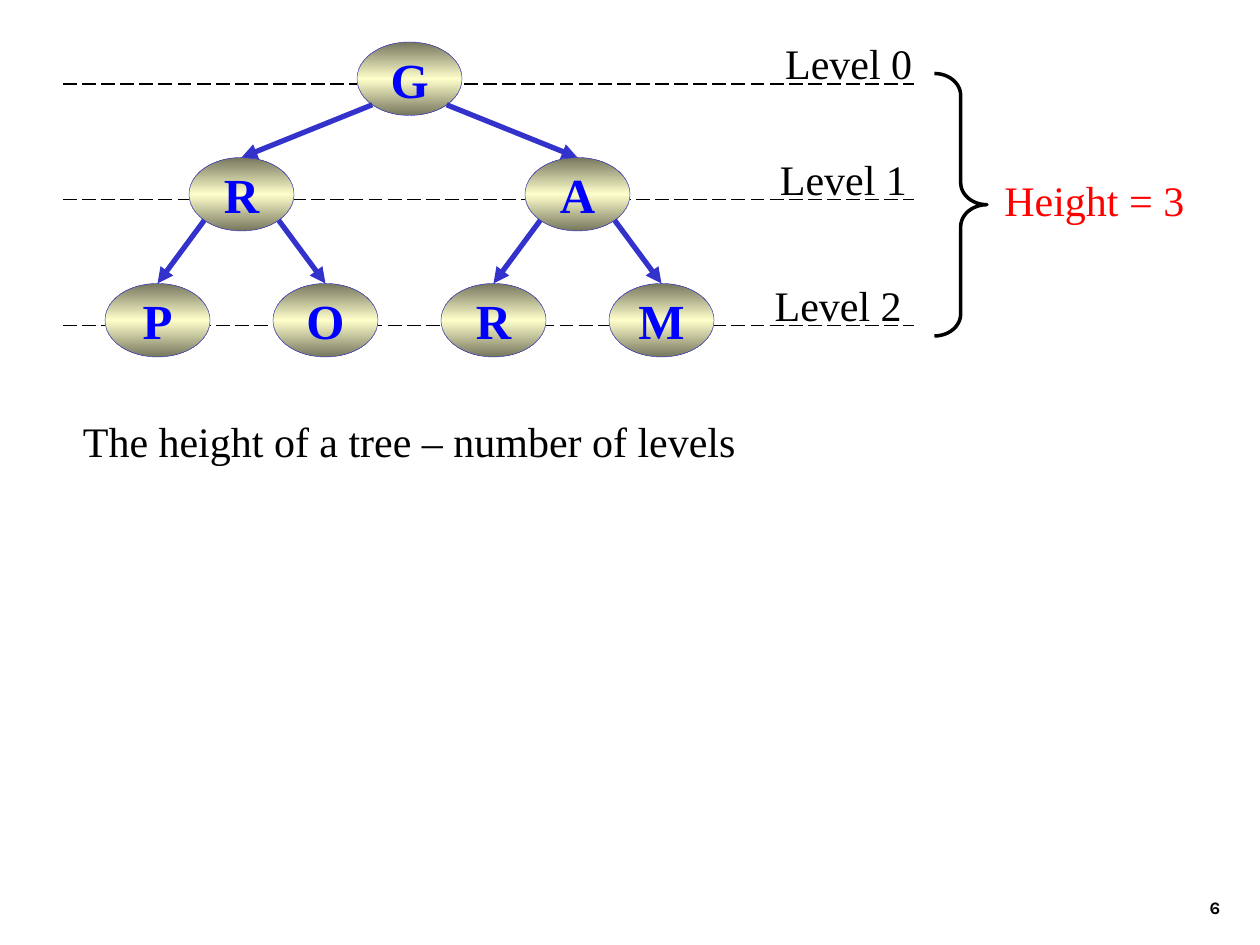
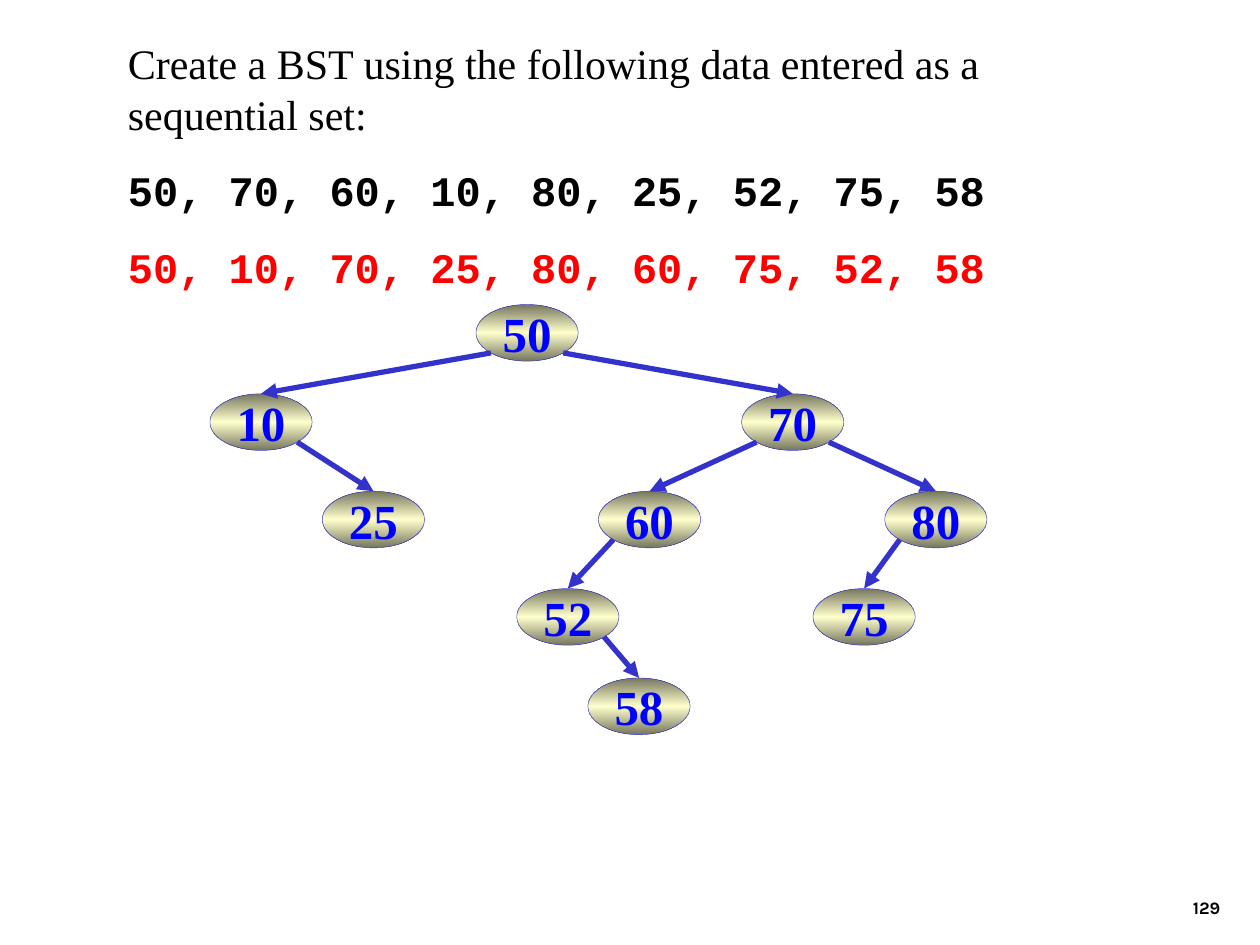
import copy

import pptx
import pptx.dml.color
import pptx.enum.dml
import pptx.enum.shapes
import pptx.enum.text
import pptx.oxml
import pptx.oxml.ns
import pptx.util

Pt = pptx.util.Pt
ALIGN = pptx.enum.text.PP_ALIGN
ANCHOR = pptx.enum.text.MSO_ANCHOR
SHAPE = pptx.enum.shapes.MSO_SHAPE

# Shared style
BLACK, RED, BLUE = "000000", "FF0000", "0000FF"
EDGE, NODE_DARK, NODE_LIGHT = "3333CC", "76765E", "FFFFCC"
SERIF, MONO, FOOTER_FONT = "Times New Roman", "Courier New", "Karla"
LINE_HEIGHT = 1.2
DIAGONAL = 0.354  # half the sine of 45 degrees: where an edge leaves an ellipse


def color(hex_string):
    return pptx.dml.color.RGBColor.from_string(hex_string)


# Text
def style_paragraph(paragraph, text, size, font, hex_color, bold=False, align=ALIGN.LEFT):
    paragraph.text = text
    paragraph.alignment = align
    paragraph.line_spacing = Pt(size * LINE_HEIGHT)
    for run in paragraph.runs:
        run.font.size = Pt(size)
        run.font.name = font
        run.font.bold = bold
        run.font.color.rgb = color(hex_color)


def add_text(slide, left, top, width, height, lines, align=ALIGN.LEFT, wrap=False,
             anchor=ANCHOR.TOP, space_before=0):
    """Each line is (text, size, font, color, bold)."""
    box = slide.shapes.add_textbox(Pt(left), Pt(top), Pt(width), Pt(height))
    frame = box.text_frame
    frame.word_wrap = wrap
    frame.vertical_anchor = anchor
    for index, line in enumerate(lines):
        paragraph = frame.add_paragraph() if index else frame.paragraphs[0]
        style_paragraph(paragraph, *line, align=align)
        if index:
            paragraph.space_before = Pt(space_before)


def add_label(slide, left, top, width, text, hex_color=BLACK, align=ALIGN.RIGHT):
    add_text(slide, left, top, width, 36, [(text, 24, SERIF, hex_color, False)], align)


def add_slide_number(slide, number):
    add_text(slide, 554.4, 492, 150, 36, [(number, 10, FOOTER_FONT, BLACK, True)],
             ALIGN.RIGHT, wrap=True, anchor=ANCHOR.BOTTOM)


# Lines
def add_line(slide, start, end, hex_color, width):
    line = slide.shapes.add_connector(
        pptx.enum.shapes.MSO_CONNECTOR.STRAIGHT, *[Pt(value) for value in (*start, *end)])
    line.line.color.rgb = color(hex_color)
    line.line.width = Pt(width)
    pptx.oxml.ns.qn("a:effectLst")
    line._element.spPr.append(pptx.oxml.parse_xml(
        f"<a:effectLst {pptx.oxml.ns.nsdecls('a')}/>"))
    return line


def add_level_line(slide, y):
    line = add_line(slide, (36, y), (522, y), BLACK, 1)
    line.line.dash_style = pptx.enum.dml.MSO_LINE.LONG_DASH


def add_edge(slide, parent, child, node_size):
    """Arrow from the lower side of the parent to the top of the child."""
    width, height = node_size
    side = 1 if child[0] > parent[0] else -1
    start = (parent[0] + width * (0.5 + side * DIAGONAL), parent[1] + height * (0.5 + DIAGONAL))
    edge = add_line(slide, start, (child[0] + width / 2, child[1]), EDGE, 3)
    edge.line._get_or_add_ln().append(pptx.oxml.parse_xml(
        f"<a:tailEnd {pptx.oxml.ns.nsdecls('a')} type='triangle'/>"))


# Shapes
def fill_node(shape):
    fill = shape.fill
    fill.gradient()
    fill.gradient_angle = 90
    stop_list = shape._element.spPr.find(".//" + pptx.oxml.ns.qn("a:gsLst"))
    stop_list.append(copy.deepcopy(stop_list[-1]))
    stops = zip(fill.gradient_stops, (0, 0.5, 1), (NODE_DARK, NODE_LIGHT, NODE_DARK))
    for stop, position, hex_color in stops:
        stop.position = position
        stop.color.rgb = color(hex_color)


def add_node(slide, left, top, node_size, text):
    node = slide.shapes.add_shape(SHAPE.OVAL, Pt(left), Pt(top), *[Pt(side) for side in node_size])
    node.shadow.inherit = False
    fill_node(node)
    node.line.color.rgb = color(EDGE)
    node.line.width = Pt(0.25)
    node.text_frame.word_wrap = False
    node.text_frame.vertical_anchor = ANCHOR.MIDDLE
    style_paragraph(node.text_frame.paragraphs[0], text, 28, SERIF, BLUE, True, ALIGN.CENTER)


def add_tree(slide, nodes, edges, node_size):
    """Nodes are (text, left, top); edges are pairs of node indexes."""
    for text, left, top in nodes:
        add_node(slide, left, top, node_size, text)
    for parent, child in edges:
        add_edge(slide, nodes[parent][1:], nodes[child][1:], node_size)


def add_brace(slide, left, top, width, height):
    brace = slide.shapes.add_shape(SHAPE.RIGHT_BRACE, Pt(left), Pt(top), Pt(width), Pt(height))
    brace.shadow.inherit = False
    brace.adjustments[0] = 0.42
    brace.fill.background()
    brace.line.color.rgb = color(BLACK)
    brace.line.width = Pt(2)


# Slides
def build_height_slide(slide):
    add_slide_number(slide, "6")
    level_tops = (24, 90, 162)
    for top in level_tops:
        add_level_line(slide, top + 24)
    for level, top in enumerate(level_tops):
        add_label(slide, 441 - 3 * level, top - 6, 87.4, f"Level {level}")
    add_label(slide, 40.3, 234, 393, "The height of a tree – number of levels", align=ALIGN.LEFT)

    # Complete tree, listed level by level
    lefts = ((204,), (108, 300), (60, 156, 252, 348))
    places = [(left, top) for row, top in zip(lefts, level_tops) for left in row]
    nodes = [(letter, *place) for letter, place in zip("GRAPORM", places)]
    edges = [((child - 1) // 2, child) for child in range(1, len(nodes))]
    add_tree(slide, nodes, edges, (60, 42))

    add_brace(slide, 534, 42, 30, 150)
    add_label(slide, 566.5, 96, 117.4, "Height = 3", RED)


def build_search_tree_slide(slide):
    add_slide_number(slide, "129")
    add_text(slide, 66, 18, 570, 152.6, [
        ("Create a BST using the following data entered as a sequential set:",
         24, SERIF, BLACK, False),
        ("50, 70, 60, 10, 80, 25, 52, 75, 58", 24, MONO, BLACK, True),
        ("50, 10, 70, 25, 80, 60, 75, 52, 58", 24, MONO, RED, True),
    ], wrap=True, space_before=15)

    level_tops = (174, 225, 280.7, 336.3, 387.4)
    levels = (
        (("50", 272),),
        (("10", 120), ("70", 423.8)),
        (("25", 184.2), ("60", 342), ("80", 505.6)),
        (("52", 295.3), ("75", 464.6)),
        (("58", 336),),
    )
    nodes = [(*node, top) for row, top in zip(levels, level_tops) for node in row]
    edges = ((0, 1), (0, 2), (1, 3), (2, 4), (2, 5), (4, 6), (5, 7), (6, 8))
    add_tree(slide, nodes, edges, (58.4, 32.4))


def main():
    presentation = pptx.Presentation()
    presentation.slide_width, presentation.slide_height = Pt(720), Pt(540)
    for build in (build_height_slide, build_search_tree_slide):
        build(presentation.slides.add_slide(presentation.slide_layouts[6]))
    presentation.save("out.pptx")


if __name__ == "__main__":
    main()
